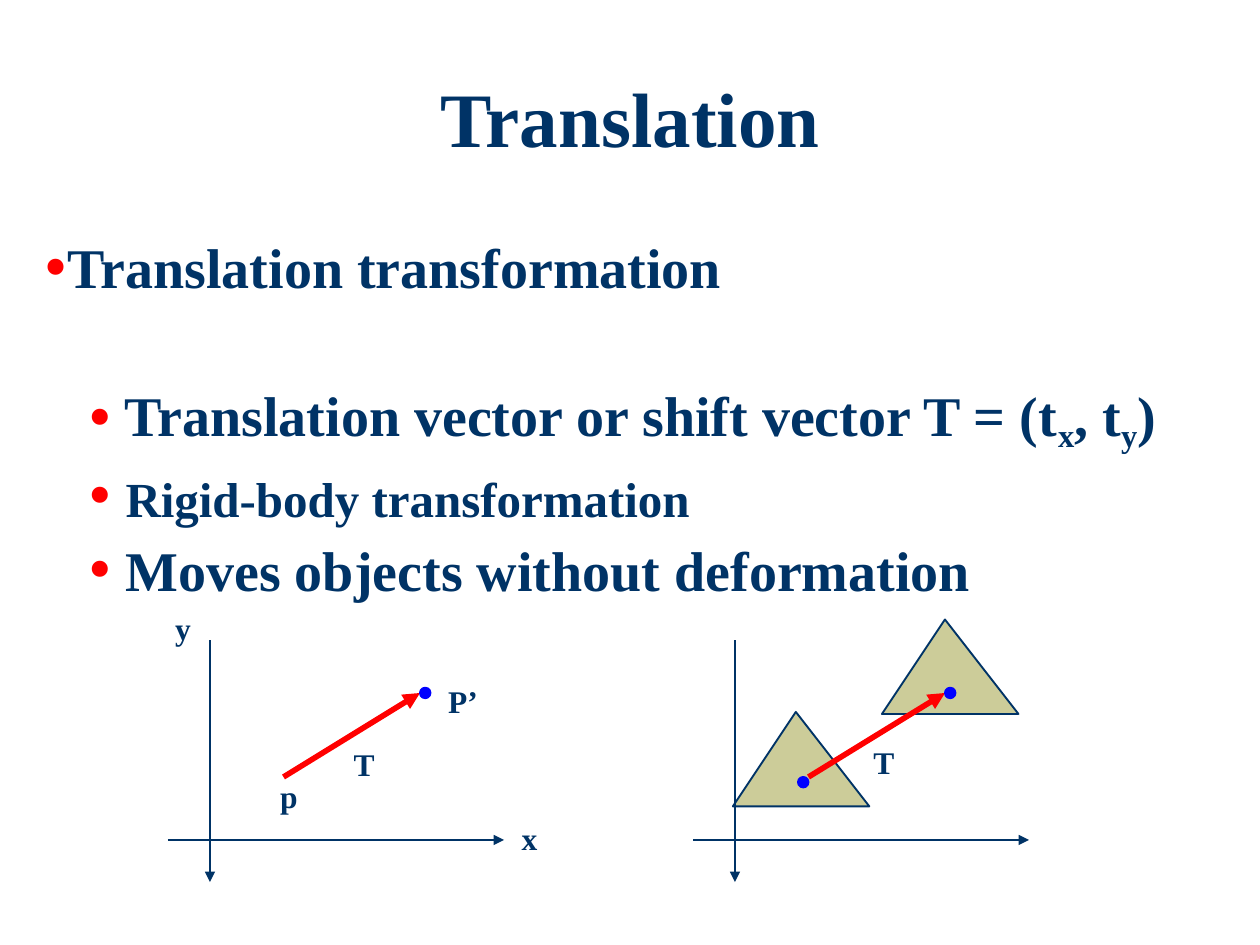
from dataclasses import dataclass

from lxml.etree import SubElement
from pptx import Presentation
from pptx.dml.color import RGBColor
from pptx.enum.shapes import MSO_CONNECTOR, MSO_SHAPE
from pptx.enum.text import MSO_ANCHOR, PP_ALIGN
from pptx.oxml.ns import qn
from pptx.util import Inches, Length, Pt

COLORS = {"ink": "003366", "accent": "FF0000", "dot": "0000FF", "solid": "CCCC99"}
FONT = "Times New Roman"
CELLS_PER_INCH = 12
PLANE_SHIFT = 50
THIN, THICK = 1.07, 3.2


@dataclass(frozen=True)
class Span:
    text: str
    size: int = 32
    subscript: bool = False


@dataclass(frozen=True)
class Bullet:
    spans: tuple[Span, ...]
    level: int = 1
    space_before: float = 4.2


@dataclass(frozen=True)
class Arrow:
    start: tuple[float, float]
    end: tuple[float, float]
    color: str = "ink"
    width: float = THIN


@dataclass(frozen=True)
class Label:
    text: str
    column: float
    row: float
    columns: float = 5
    inset: tuple[float, float] = (0.14, 0.08)


@dataclass(frozen=True)
class Figure:
    kind: MSO_SHAPE
    column: float
    row: float
    columns: float
    rows: float
    fill: str
    line: str


def triangle(column: float, row: float) -> Figure:
    return Figure(MSO_SHAPE.ISOSCELES_TRIANGLE, column, row, 13, 9, "solid", "ink")


def dot(column: float, row: float) -> Figure:
    return Figure(MSO_SHAPE.OVAL, column, row, 1, 1, "dot", "dot")


BULLETS = (
    Bullet((Span("Translation transformation"),), level=0, space_before=0),
    Bullet(
        (
            Span(" Translation vector or shift vector T = (t"),
            Span("x", subscript=True),
            Span(", t"),
            Span("y", subscript=True),
            Span(")"),
        ),
        space_before=46,
    ),
    Bullet((Span(" "), Span("Rigid-body transformation", size=28))),
    Bullet((Span(" Moves objects without deformation"),)),
)
INDENTS = ((0.06, -0.06), (0.47, -0.12))
ARROWS = (
    Arrow((16, 80), (48, 80)),
    Arrow((20, 61), (20, 84)),
    Arrow((27, 74), (40, 66), "accent", THICK),
)
FIGURES = (triangle(84, 59), triangle(69.8, 67.8))
DOTS = (dot(40, 65.5), dot(76, 74), dot(90, 65.5))
LABELS = (
    Label("x", 48, 77),
    Label("y", 15, 57),
    Label("p", 25, 73),
    Label("P’", 41, 64, columns=9),
    Label("T", 32, 70),
    Label("T", 82, 70, inset=(0.1, 0.06)),
)


def cells(count: float) -> Length:
    return Inches(count / CELLS_PER_INCH)


def color(name: str) -> RGBColor:
    return RGBColor.from_string(COLORS[name])


def add_span(para, text: str, size: int):
    span = para.add_run()
    span.text = text
    span.font.name = FONT
    span.font.size = Pt(size)
    span.font.bold = True
    span.font.color.rgb = color("ink")
    return span


def set_title(page, text: str) -> None:
    title = page.shapes.title
    title.left, title.top = Inches(0.5), Inches(0.3)
    title.width, title.height = Inches(9), Inches(1.25)
    title.text_frame.vertical_anchor = MSO_ANCHOR.MIDDLE
    para = title.text_frame.paragraphs[0]
    para.alignment = PP_ALIGN.CENTER
    add_span(para, text, 44)


def format_bullet(para, level: int) -> None:
    properties = para._p.get_or_add_pPr()
    margin, indent = INDENTS[level]
    properties.set("marL", str(Inches(margin)))
    properties.set("indent", str(Inches(indent)))
    tint = SubElement(properties, qn("a:buClr"))
    SubElement(tint, qn("a:srgbClr"), val=COLORS["accent"])
    SubElement(properties, qn("a:buSzPct"), val="120000")
    SubElement(properties, qn("a:buFont"), typeface=FONT)
    SubElement(properties, qn("a:buChar"), char="•")


def add_bullets(page, bullets: tuple[Bullet, ...]) -> None:
    box = page.shapes.add_textbox(Inches(0.25), Inches(1.8), Inches(9.25), Inches(4.9))
    frame = box.text_frame
    frame.word_wrap = True
    for index, bullet in enumerate(bullets):
        para = frame.add_paragraph() if index else frame.paragraphs[0]
        para.level = bullet.level
        para.space_before = Pt(bullet.space_before)
        format_bullet(para, bullet.level)
        for part in bullet.spans:
            span = add_span(para, part.text, part.size)
            if part.subscript:
                span.font._element.set("baseline", "-19000")


def add_figure(page, figure: Figure) -> None:
    shape = page.shapes.add_shape(
        figure.kind, cells(figure.column), cells(figure.row),
        cells(figure.columns), cells(figure.rows),
    )
    shape.shadow.inherit = False
    if figure.kind == MSO_SHAPE.ISOSCELES_TRIANGLE:
        shape.adjustments[0] = 6 / 13
    shape.fill.solid()
    shape.fill.fore_color.rgb = color(figure.fill)
    shape.line.color.rgb = color(figure.line)
    shape.line.width = Pt(THIN)


def add_arrow(page, arrow: Arrow, shift: float) -> None:
    (x1, y1), (x2, y2) = arrow.start, arrow.end
    connector = page.shapes.add_connector(
        MSO_CONNECTOR.STRAIGHT,
        cells(x1 + shift), cells(y1), cells(x2 + shift), cells(y2),
    )
    connector.line.color.rgb = color(arrow.color)
    connector.line.width = Pt(arrow.width)
    SubElement(connector.line._get_or_add_ln(), qn("a:tailEnd"), type="triangle")
    SubElement(connector._element.spPr, qn("a:effectLst"))


def add_label(page, label: Label) -> None:
    box = page.shapes.add_textbox(
        cells(label.column), cells(label.row), cells(label.columns), cells(6)
    )
    frame = box.text_frame
    frame.word_wrap = True
    frame.margin_left, frame.margin_top = map(Inches, label.inset)
    frame.margin_right = 0
    add_span(frame.paragraphs[0], label.text, 18)


def main() -> None:
    deck = Presentation()
    deck.slide_width, deck.slide_height = Inches(10), Inches(7.5)
    page = deck.slides.add_slide(deck.slide_layouts[5])
    set_title(page, "Translation")
    add_bullets(page, BULLETS)
    for figure in FIGURES:
        add_figure(page, figure)
    for shift in (0, PLANE_SHIFT):
        for arrow in ARROWS:
            add_arrow(page, arrow, shift)
    for figure in DOTS:
        add_figure(page, figure)
    for label in LABELS:
        add_label(page, label)
    deck.save("out.pptx")


if __name__ == "__main__":
    main()
